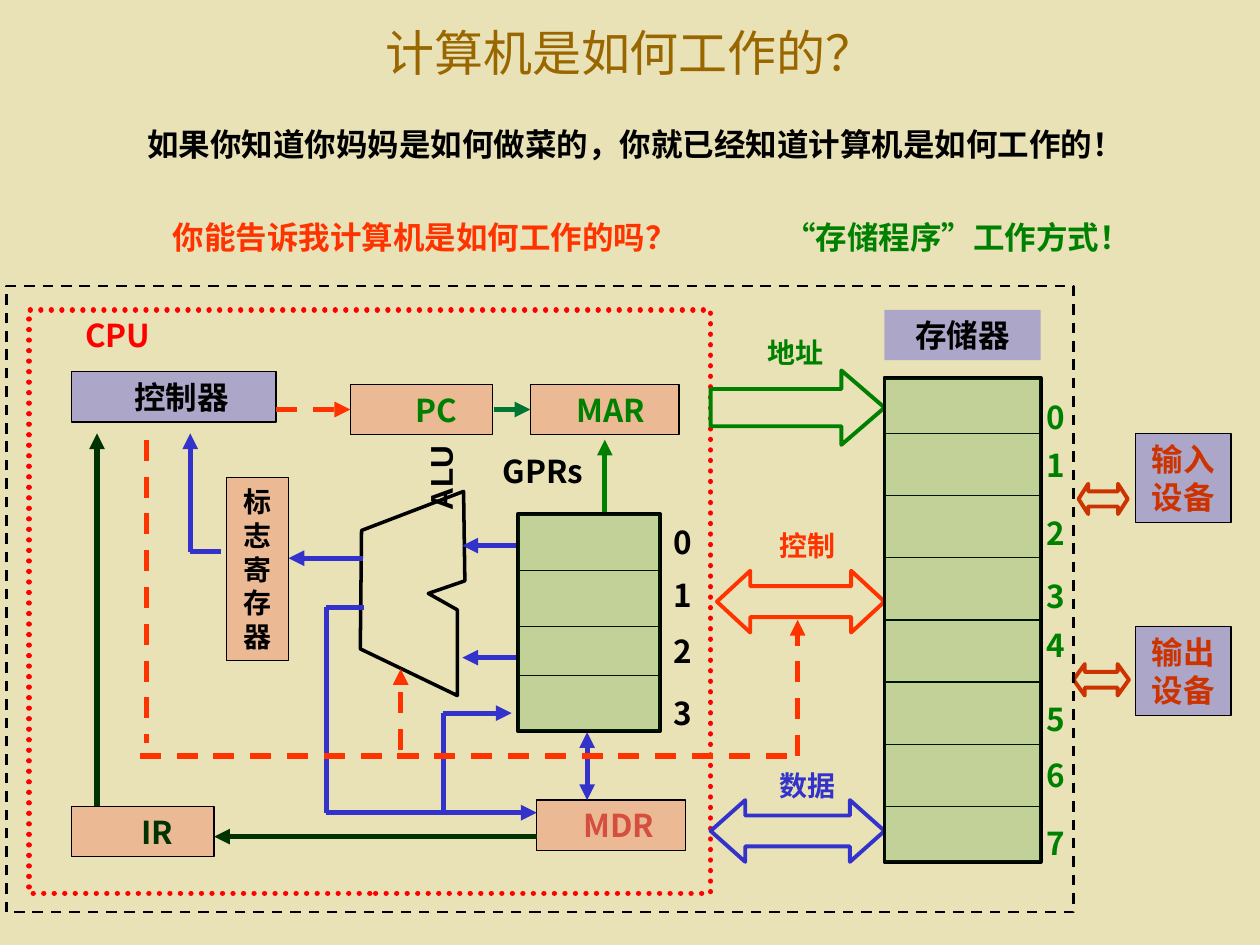
import itertools
import pptx
import pptx.dml.color
import pptx.enum.dml
import pptx.enum.shapes
import pptx.enum.text
import pptx.oxml.ns
import pptx.util

THEME = {
    "sand": "E9E2B6", "brown": "996600", "black": "000000", "orange": "FF3300",
    "green": "008000", "red": "FF0000", "rust": "CC3300", "blue": "3333CC",
    "forest": "003300", "teal": "007635", "coral": "D54F41", "navy": "0000FF",
    "title": 28, "text": 18, "label": 16, "spacing": 1.2,
    "font": "Noto Sans CJK SC",
    "unit": ("navy", 26), "register": ("red", 18), "cells": ("green", 17),
}
SHAPE = pptx.enum.shapes.MSO_SHAPE
DASH = pptx.enum.dml.MSO_LINE.DASH
DOT = pptx.enum.dml.MSO_LINE.ROUND_DOT
qn = pptx.oxml.ns.qn
rgb = pptx.dml.color.RGBColor.from_string

deck = pptx.Presentation()
deck.slide_width, deck.slide_height = pptx.util.Inches(10), pptx.util.Inches(7.5)
column, row = deck.slide_width / 10, deck.slide_height / 7.5
slide = deck.slides.add_slide(deck.slide_layouts[5])
slide.background.fill.solid()
slide.background.fill.fore_color.rgb = rgb(THEME["sand"])


def block(place, lines=(), ink="black", size="text", tint=None, edge=None, width=0.75,
          dash=None, kind=SHAPE.RECTANGLE, adjust=None, shift=0, side=0.1,
          font=THEME["font"], bold=True, holder=None):
    left, top, wide, high = place
    frame = [int(left * column), int(top * row), int(wide * column), int(high * row)]
    if holder is not None:
        part = holder
        part.left, part.top, part.width, part.height = frame
    elif not (tint or edge):
        part = slide.shapes.add_textbox(*frame)
    else:
        part = slide.shapes.add_shape(kind, *frame)
        part.shadow.inherit = False
        part.fill.background()
        part.line.fill.background()
    if adjust:
        part.adjustments[1] = adjust
    if tint:
        shade, opacity = tint
        part.fill.solid()
        part.fill.fore_color.rgb = rgb(THEME[shade])
        if opacity < 100:
            colour = part._element.spPr.find(qn("a:solidFill"))[0]
            colour.append(colour.makeelement(qn("a:alpha"), {"val": str(opacity * 1000)}))
    if edge:
        part.line.color.rgb = rgb(THEME[edge])
        part.line.width = pptx.util.Pt(width)
        if dash:
            part.line.dash_style = dash
        if dash == DOT:
            part._element.spPr.find(qn("a:ln")).set("cap", "rnd")
    words = part.text_frame
    words.word_wrap = True
    words.vertical_anchor = pptx.enum.text.MSO_ANCHOR.MIDDLE
    words.margin_left = words.margin_right = int(side * column)
    words.margin_top = words.margin_bottom = 0
    for index, line in enumerate(lines):
        para = words.add_paragraph() if index else words.paragraphs[0]
        para.alignment = pptx.enum.text.PP_ALIGN.CENTER
        if shift:
            para._p.get_or_add_pPr().set("marL", str(int(shift * column)))
        if len(lines) > 1:
            para.line_spacing = pptx.util.Pt(THEME[size] * THEME["spacing"])
        run = para.add_run()
        run.text = line
        run.font.name, run.font.bold = font, bold
        run.font.size = pptx.util.Pt(THEME[size])
        run.font.color.rgb = rgb(THEME[ink])
        rpr = run._r.get_or_add_rPr()
        rpr.append(rpr.makeelement(qn("a:ea"), {"typeface": THEME["font"]}))
    return part


def wire(points, ink, width=3, dash=None, tail=True, head=False):
    legs = list(itertools.pairwise(points))
    for index, ((x1, y1), (x2, y2)) in enumerate(legs):
        leg = slide.shapes.add_connector(
            pptx.enum.shapes.MSO_CONNECTOR.STRAIGHT,
            int(x1 * column), int(y1 * row), int(x2 * column), int(y2 * row))
        leg.line.color.rgb = rgb(THEME[ink])
        leg.line.width = pptx.util.Pt(width)
        if dash:
            leg.line.dash_style = dash
        outline = leg._element.spPr
        stroke = outline.find(qn("a:ln"))
        ends = [("a:headEnd", head and index == 0),
                ("a:tailEnd", tail and index == len(legs) - 1)]
        for tag, shown in ends:
            if shown:
                stroke.append(stroke.makeelement(qn(tag), {"type": "triangle"}))
        outline.append(outline.makeelement(qn("a:effectLst"), {}))


block((0.5, 0.11, 9, 0.61), ["计算机是如何工作的？"], "brown", "title",
      font="Times New Roman", bold=False, holder=slide.shapes.title)
block((0.18, 0.94, 9.73, 0.4), ["如果你知道你妈妈是如何做菜的，你就已经知道计算机是如何工作的！"])
block((0.27, 1.68, 6.2, 0.4), ["你能告诉我计算机是如何工作的吗？"], "orange")
block((5.59, 1.68, 4.02, 0.4), ["“存储程序”工作方式！"], "green")

block((0.23, 2.46, 5.41, 4.63), edge="red", width=3, dash=DOT)
block((0.47, 2.46, 0.93, 0.4), ["CPU"], "red")
block((0.57, 2.95, 1.62, 0.4), ["控制器"], tint=THEME["unit"], edge="black", shift=0.12)
for name, ink, left, top, wide, shift in [
        ("PC", "green", 2.78, 3.05, 1.13, 0.23), ("MAR", "green", 4.21, 3.05, 1.18, 0.1),
        ("MDR", "coral", 4.26, 6.35, 1.18, 0.12), ("IR", "forest", 0.57, 6.4, 1.13, 0.23)]:
    block((left, top, wide, 0.4), [name], ink, tint=THEME["register"], edge="black",
          shift=shift)
block((1.8, 3.79, 0.49, 1.45), list("标志寄存器"), size="label",
      tint=THEME["register"], edge="black")

for way, top in [("输入", 3.44), ("输出", 4.97)]:
    block((9.01, top, 0.76, 0.71), [way, "设备"], "rust", tint=THEME["unit"],
          edge="black", side=0)
for place, adjust in [((8.56, 3.84, 0.39, 0.24), 0.32), ((8.52, 5.27, 0.44, 0.25), 0.36)]:
    block(place, tint=("sand", 100), edge="rust", width=2.25,
          kind=SHAPE.LEFT_RIGHT_ARROW, adjust=adjust)

alu_corners = [(368, 390), (369, 461), (340, 471), (363, 484),
               (363, 552), (286, 515), (287, 421)]
builder = slide.shapes.build_freeform(*alu_corners[0], scale=(column / 100, row / 100))
builder.add_line_segments(alu_corners[1:], close=True)
alu = builder.convert_to_shape()
alu.shadow.inherit = False
alu.fill.background()
alu.line.color.rgb = rgb(THEME["black"])
alu.line.width = pptx.util.Pt(2)
block((3.05, 3.61, 0.89, 0.37), ["ALU"], font="Arial").rotation = 270

wire([(2.19, 3.25), (2.78, 3.25)], "orange", dash=DASH)
wire([(3.92, 3.25), (4.21, 3.25)], "teal")
wire([(4.66, 5.81), (4.66, 6.35)], "blue", head=True)
for y in (4.33, 5.22):
    wire([(4.11, y), (3.67, y)], "blue")
wire([(2.88, 4.43), (2.29, 4.43)], "blue")
wire([(1.75, 4.38), (1.51, 4.38), (1.51, 3.44)], "blue")
wire([(4.8, 4.08), (4.8, 3.49)], "green")
wire([(2.89, 4.82), (2.59, 4.82), (2.59, 6.45), (4.26, 6.45)], "blue")
wire([(3.52, 6.44), (3.52, 5.66), (4.06, 5.66)], "blue")
wire([(1.11, 6), (6.28, 6)], "orange", dash=DASH, tail=False)
wire([(1.16, 3.49), (1.16, 5.9)], "orange", dash=DASH, tail=False)
wire([(3.18, 5.95), (3.18, 5.31)], "orange", dash=DASH)
wire([(4.26, 6.64), (1.7, 6.64)], "forest")
wire([(0.77, 6.4), (0.77, 3.44)], "forest")

for bus, ink, label, arrow, kind, adjust in [
        ("地址", "green", (5.84, 2.61, 0.94, 0.37), (5.64, 2.94, 1.38, 0.59),
         SHAPE.RIGHT_ARROW, 0.58),
        ("控制", "orange", (5.94, 4.14, 0.94, 0.37), (5.69, 4.53, 1.33, 0.49),
         SHAPE.LEFT_RIGHT_ARROW, 0.54),
        ("数据", "blue", (5.99, 6.05, 0.84, 0.37), (5.64, 6.35, 1.38, 0.49),
         SHAPE.LEFT_RIGHT_ARROW, 0.56)]:
    block(label, [bus], ink, "label")
    block(arrow, tint=("sand", 100), edge=ink, width=2.25, kind=kind, adjust=adjust)
wire([(6.33, 6), (6.33, 4.92)], "orange", dash=DASH)

block((3.67, 3.54, 1.28, 0.4), ["GPRs"])
block((7.02, 2.46, 1.24, 0.4), ["存储器"], tint=THEME["unit"])
memory_rules = [3.44 + (6.4 - 3.44) / 6 * step for step in range(7)]
for place, rules, numbers, number_left, number_wide, ink in [
        ((4.11, 4.08, 1.13, 1.72), [4.53, 4.97, 5.36],
         [4.1, 4.52, 4.97, 5.46], 5.24, 0.35, "black"),
        ((7.02, 3, 1.24, 3.84), memory_rules,
         [3.11, 3.49, 4.03, 4.53, 4.92, 5.51, 5.95, 6.49], 8.21, 0.33, "green")]:
    block(place, tint=("sand", 100), edge="black", width=2.25)
    for y in rules:
        wire([(place[0], y), (place[0] + place[2], y)], "black", 0.75, tail=False)
    for address, top in enumerate(numbers):
        block((number_left, top, number_wide, 0.4), [str(address)], ink)
    block(place, tint=THEME["cells"])

block((0.05, 2.27, 8.47, 4.97), edge="black", width=1.5, dash=DASH)
deck.save("out.pptx")
